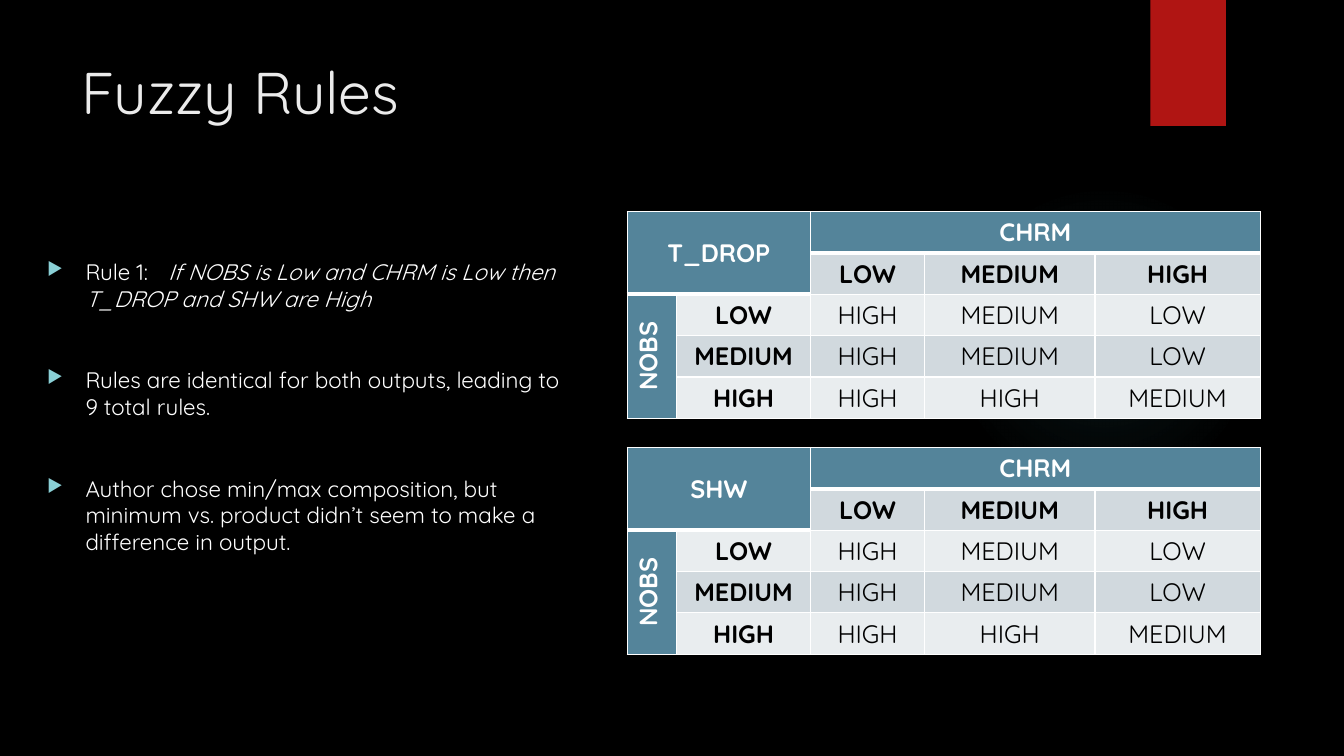
from dataclasses import dataclass

from lxml import etree
from pptx import Presentation
from pptx.dml.color import RGBColor
from pptx.enum.shapes import MSO_SHAPE
from pptx.enum.text import MSO_ANCHOR, PP_ALIGN
from pptx.oxml import parse_xml
from pptx.oxml.ns import nsdecls, qn
from pptx.util import Inches, Pt

OVAL, RECTANGLE = MSO_SHAPE.OVAL, MSO_SHAPE.RECTANGLE
MIDDLE, CENTER = MSO_ANCHOR.MIDDLE, PP_ALIGN.CENTER

FONT = "Quicksand"
WHITE, BLACK = "FFFFFF", "000000"
HEADER_FILL, BAND_FILLS = "54849A", ("E9EDEF", "D1D9DE")
COLUMN_WIDTHS = (0.49, 1.33, 1.13, 1.69, 1.64)
ROW_HEIGHT = 0.41
LEVELS = ("LOW", "MEDIUM", "HIGH")
OUTPUTS = (
    ("HIGH", "MEDIUM", "LOW"),
    ("HIGH", "MEDIUM", "LOW"),
    ("HIGH", "HIGH", "MEDIUM"),
)


@dataclass
class RuleTable:
    output: str
    top: float


@dataclass
class Bullet:
    text: str
    italic_text: str = ""


RULE_TABLES = (RuleTable("T_DROP", 2.1), RuleTable("SHW", 4.44))
BULLETS = (
    Bullet("Rule 1:\t", "If NOBS is Low and CHRM is Low then T_DROP and SHW are High"),
    Bullet("Rules are identical for both outputs, leading to 9 total rules."),
    Bullet("Author chose min/max composition, but minimum vs. product "
           "didn’t seem to make a difference in output."),
)


def color(value: str) -> RGBColor:
    return RGBColor.from_string(value)


def set_font(paragraph, size: float, value: str, bold: bool = False) -> None:
    paragraph.font.name = FONT
    paragraph.font.size = Pt(size)
    paragraph.font.bold = bold
    paragraph.font.color.rgb = color(value)


def add_decoration(slide, kind, left: float, top: float, width: float, height: float):
    shape = slide.shapes.add_shape(
        kind, Inches(left), Inches(top), Inches(width), Inches(height))
    shape.shadow.inherit = False
    shape.line.fill.background()
    return shape


def add_glow(slide) -> None:
    shape = add_decoration(slide, OVAL, 9.41, 1.83, 3.08, 3.08)
    stops = "".join(
        f'<a:gs pos="{position}000"><a:srgbClr val="50B9C1">'
        f'<a:alpha val="{alpha}000"/></a:srgbClr></a:gs>'
        for position, alpha in ((0, 7), (36, 6), (69, 0)))
    gradient = parse_xml(
        f'<a:gradFill {nsdecls("a")}><a:gsLst>{stops}</a:gsLst><a:path path="circle">'
        '<a:fillToRect l="50000" t="50000" r="50000" b="50000"/></a:path></a:gradFill>')
    shape.element.spPr.find(qn("a:prstGeom")).addnext(gradient)


def add_text_frame(slide, left: float, top: float, width: float, height: float):
    box = slide.shapes.add_textbox(
        Inches(left), Inches(top), Inches(width), Inches(height))
    box.text_frame.word_wrap = True
    return box.text_frame


def add_bullet_marks(paragraph) -> None:
    properties = paragraph._p.get_or_add_pPr()
    properties.set("marL", str(Inches(0.38)))
    properties.set("indent", str(-Inches(0.38)))
    bullet_color = etree.SubElement(properties, qn("a:buClr"))
    etree.SubElement(bullet_color, qn("a:srgbClr"), val="8AD0D6")
    etree.SubElement(properties, qn("a:buSzPct"), val="80000")
    etree.SubElement(properties, qn("a:buChar"), char="▶")
    tabs = etree.SubElement(properties, qn("a:tabLst"))
    etree.SubElement(tabs, qn("a:tab"), pos=str(Inches(1.2)), algn="l")


def add_bullets(slide) -> None:
    frame = add_text_frame(slide, 0.37, 2.51, 5.43, 4.11)
    for index, bullet in enumerate(BULLETS):
        paragraph = frame.add_paragraph() if index else frame.paragraphs[0]
        add_bullet_marks(paragraph)
        if index:
            paragraph.space_before = Pt(39)
        set_font(paragraph, 16, WHITE)
        paragraph.add_run().text = bullet.text
        if bullet.italic_text:
            run = paragraph.add_run()
            run.text = bullet.italic_text
            run.font.italic = True


def edge_below(row: int, column: int) -> int:
    """Border width under a cell: heavy below the header cells."""
    return 3 if row == 0 or (row == 1 and column < 2) else 1


def set_borders(cell, row: int, column: int) -> None:
    properties = cell._tc.get_or_add_tcPr()
    top = edge_below(row - 1, column) if row else 1
    widths = {"L": 1, "R": 1, "T": top, "B": edge_below(row, column)}
    for side, width in widths.items():
        line = etree.SubElement(properties, qn(f"a:ln{side}"), w=str(Pt(width)))
        fill = etree.SubElement(line, qn("a:solidFill"))
        etree.SubElement(fill, qn("a:srgbClr"), val=WHITE)


def add_rule_table(slide, rule_table: RuleTable) -> None:
    rows = [
        (rule_table.output, "", "CHRM", "", ""),
        ("", "", *LEVELS),
        *(("NOBS" if index == 0 else "", level, *outputs)
          for index, (level, outputs) in enumerate(zip(LEVELS, OUTPUTS))),
    ]
    table = slide.shapes.add_table(
        len(rows), len(COLUMN_WIDTHS), Inches(6.22), Inches(rule_table.top),
        Inches(sum(COLUMN_WIDTHS)), Inches(ROW_HEIGHT * len(rows))).table
    table.first_row = table.horz_banding = False
    for column, width in zip(table.columns, COLUMN_WIDTHS):
        column.width = Inches(width)

    for row, texts in enumerate(rows):
        table.rows[row].height = Inches(ROW_HEIGHT)
        for column, text in enumerate(texts):
            cell = table.cell(row, column)
            is_header = row == 0 or column == 0 or (row == 1 and column == 1)
            set_borders(cell, row, column)
            cell.fill.solid()
            cell.fill.fore_color.rgb = color(HEADER_FILL if is_header else BAND_FILLS[row % 2])
            cell.vertical_anchor = MIDDLE
            paragraph = cell.text_frame.paragraphs[0]
            paragraph.alignment = CENTER
            set_font(paragraph, 18, WHITE if is_header else BLACK,
                     bold=row < 2 or column < 2)
            if text:
                paragraph.add_run().text = text

    # Merged headers, with the row header turned upwards
    table.cell(0, 0).merge(table.cell(1, 1))
    table.cell(0, 2).merge(table.cell(0, 4))
    table.cell(2, 0).merge(table.cell(4, 0))
    table.cell(2, 0)._tc.get_or_add_tcPr().set("vert", "vert270")


def main() -> None:
    presentation = Presentation()
    presentation.slide_width = Inches(13.33)
    presentation.slide_height = Inches(7.5)
    slide = presentation.slides.add_slide(presentation.slide_layouts[6])

    # Background and decoration
    slide.background.fill.solid()
    slide.background.fill.fore_color.rgb = color(BLACK)
    add_glow(slide)
    ribbon = add_decoration(slide, RECTANGLE, 11.41, 0, 0.75, 1.25)
    ribbon.fill.solid()
    ribbon.fill.fore_color.rgb = color("B01513")

    # Title
    title = add_text_frame(slide, 0.71, 0.5, 10.29, 1.53).paragraphs[0]
    title.text = "Fuzzy Rules"
    set_font(title, 42, "EBEBEB")

    # Rules
    for rule_table in RULE_TABLES:
        add_rule_table(slide, rule_table)
    add_bullets(slide)

    presentation.save("out.pptx")


if __name__ == "__main__":
    main()
